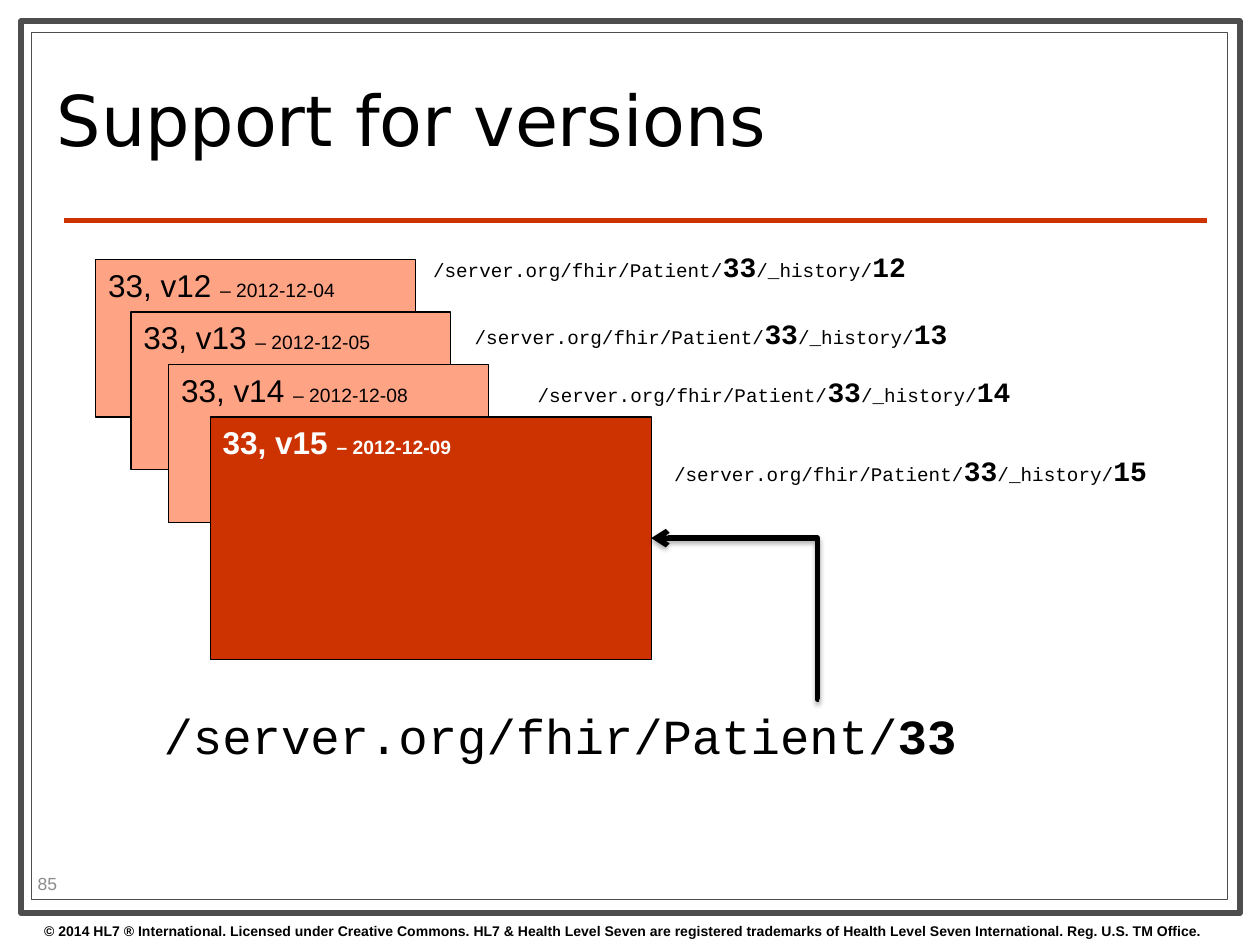
from collections import namedtuple
from dataclasses import dataclass

from lxml import etree
from pptx import Presentation
from pptx.dml.color import RGBColor
from pptx.enum.shapes import MSO_CONNECTOR, MSO_SHAPE
from pptx.enum.text import MSO_ANCHOR, MSO_AUTO_SIZE, PP_ALIGN
from pptx.oxml import parse_xml
from pptx.oxml.ns import nsdecls, qn
from pptx.util import Cm, Pt

RECTANGLE = MSO_SHAPE.RECTANGLE
STRAIGHT = MSO_CONNECTOR.STRAIGHT
ELBOW = MSO_CONNECTOR.ELBOW
TOP = MSO_ANCHOR.TOP
MIDDLE = MSO_ANCHOR.MIDDLE
LEFT = PP_ALIGN.LEFT
NO_AUTOFIT = MSO_AUTO_SIZE.NONE

Box = namedtuple("Box", "left top width height")
Version = namedtuple("Version", "number date card_left address_left address_top")


@dataclass(frozen=True)
class Theme:
    white: RGBColor = RGBColor(0xFF, 0xFF, 0xFF)
    black: RGBColor = RGBColor(0, 0, 0)
    frame: RGBColor = RGBColor(0x4D, 0x4D, 0x4D)
    accent: RGBColor = RGBColor(0xCC, 0x33, 0x00)
    old_version: RGBColor = RGBColor(0xFF, 0xA3, 0x85)
    muted: RGBColor = RGBColor(0x8C, 0x8C, 0x8C)
    title_font: str = "DejaVu Sans"
    body_font: str = "Arial"
    code_font: str = "Courier New"
    title_size: int = 40
    address_size: int = 28
    card_size: int = 18
    key_size: int = 16
    small_size: int = 11
    number_size: int = 10
    copyright_size: int = 8
    thin: float = 0.75
    thick: float = 3


THEME = Theme()
COPYRIGHT = (
    "© 2014 HL7 ® International. Licensed under Creative Commons. "
    "HL7 & Health Level Seven are registered trademarks of "
    "Health Level Seven International. Reg. U.S. TM Office."
)
ADDRESS = "/server.org/fhir/Patient/"
PATIENT = "33"
VERSIONS = [
    Version(12, "2012-12-04", 0, 6.55, 0),
    Version(13, "2012-12-05", 0.71, 7.39, 1.35),
    Version(14, "2012-12-08", 1.47, 8.66, 2.52),
    Version(15, "2012-12-09", 2.31, 11.41, 4.12),
]


def in_cm(box):
    return [Cm(length) for length in box]


def write_runs(shape, runs, font_name, color, bold=False, anchor=TOP):
    frame = shape.text_frame
    frame.word_wrap = True
    frame.vertical_anchor = anchor
    paragraph = frame.paragraphs[0]
    paragraph.alignment = LEFT
    paragraph.font.name = font_name
    paragraph.font.color.rgb = color
    paragraph.font.bold = bold
    for text, size, strong in runs:
        run = paragraph.add_run()
        run.text = text
        run.font.size = Pt(size)
        if strong:
            run.font.bold = True


def add_text(slide, box, *arguments, **options):
    shape = slide.shapes.add_textbox(*in_cm(box))
    write_runs(shape, *arguments, **options)


def add_rectangle(slide, box, fill, line, width):
    shape = slide.shapes.add_shape(RECTANGLE, *in_cm(box))
    shape.shadow.inherit = False
    shape.fill.solid()
    shape.fill.fore_color.rgb = fill
    shape.line.color.rgb = line
    shape.line.width = Pt(width)
    return shape


def add_line(slide, kind, start, end, color):
    connector = slide.shapes.add_connector(kind, *in_cm(start + end))
    connector.line.color.rgb = color
    connector.line.width = Pt(THEME.thick)
    effects = etree.SubElement(connector.element.spPr, qn("a:effectLst"))
    return connector, effects


def add_page_frame(slide, box):
    add_rectangle(slide, box, THEME.white, THEME.frame, 3.5)
    inner = Box(box.left + 0.21, box.top + 0.23, box.width - 0.46, box.height - 0.5)
    add_rectangle(slide, inner, THEME.white, THEME.frame, THEME.thin)
    rule_top = box.top + 4.02
    add_line(slide, STRAIGHT, (box.left + 0.87, rule_top),
             (box.left + 23.9, rule_top), THEME.accent)
    add_text(slide, Box(box.left + 0.21, box.top + 18.04, 24.76, 0.58),
             [(COPYRIGHT, THEME.copyright_size, False)],
             THEME.body_font, THEME.black, bold=True)
    add_text(slide, Box(box.left + 0.08, box.top + 17.07, 2, 0.61),
             [("85", THEME.number_size, False)],
             THEME.body_font, THEME.muted, anchor=MIDDLE)


def place_title(slide, box, text):
    title = slide.shapes.title
    title.element.getparent().append(title.element)
    title.left, title.top, title.width, title.height = in_cm(box)
    title.text_frame.auto_size = NO_AUTOFIT
    write_runs(title, [(text, THEME.title_size, False)],
               THEME.title_font, THEME.black, anchor=MIDDLE)
    title.text_frame.paragraphs[0].line_spacing = 0.8


def add_version_stack(slide, box):
    step = 1.06
    for index, version in enumerate(VERSIONS):
        current = version is VERSIONS[-1]
        width, height = (8.89, 4.88) if current else (6.45, 3.18)
        card = add_rectangle(
            slide,
            Box(box.left + version.card_left, box.top + 0.33 + index * step, width, height),
            THEME.accent if current else THEME.old_version, THEME.black, THEME.thin)
        write_runs(card,
                   [(f"{PATIENT}, v{version.number} ", THEME.card_size, False),
                    (f"– {version.date}", THEME.small_size, False)],
                   THEME.body_font, THEME.white if current else THEME.black, bold=current)
    for version in VERSIONS:
        add_text(slide,
                 Box(box.left + version.address_left, box.top + version.address_top,
                     12.06, 0.94),
                 [(ADDRESS, THEME.small_size, False),
                  (PATIENT, THEME.key_size, True),
                  ("/_history/", THEME.small_size, False),
                  (str(version.number), THEME.key_size, True)],
                 THEME.code_font, THEME.black)


def add_current_address(slide, box):
    add_text(slide, box,
             [(ADDRESS, THEME.address_size, False), (PATIENT, THEME.address_size, True)],
             THEME.code_font, THEME.black)
    arrow, effects = add_line(slide, ELBOW, (box.left + 13.46, box.top),
                              (box.left + 10.08, box.top - 3.25), THEME.black)
    guides = arrow.element.spPr.find(qn("a:prstGeom")).get_or_add_avLst()
    etree.SubElement(guides, qn("a:gd"), name="adj1", fmla="val 800")
    etree.SubElement(arrow.line._get_or_add_ln(), qn("a:tailEnd"), type="arrow")
    effects.append(parse_xml(
        f'<a:outerShdw {nsdecls("a")} blurRad="{Pt(3.1)}" dist="{Pt(1.8)}" '
        'dir="5400000" rotWithShape="0"><a:srgbClr val="000000">'
        '<a:alpha val="35000"/></a:srgbClr></a:outerShdw>'))


def main():
    presentation = Presentation()
    presentation.slide_width = Cm(25.4)
    presentation.slide_height = Cm(19.05)
    slide = presentation.slides.add_slide(presentation.slide_layouts[5])
    add_page_frame(slide, Box(0.43, 0.43, 24.56, 17.98))
    place_title(slide, Box(0.89, 0.91, 18.21, 3.28), "Support for versions")
    add_version_stack(slide, Box(1.93, 4.9, 23.47, 8.39))
    add_current_address(slide, Box(3.05, 14.1, 17.48, 1.45))
    presentation.save("out.pptx")


if __name__ == "__main__":
    main()
